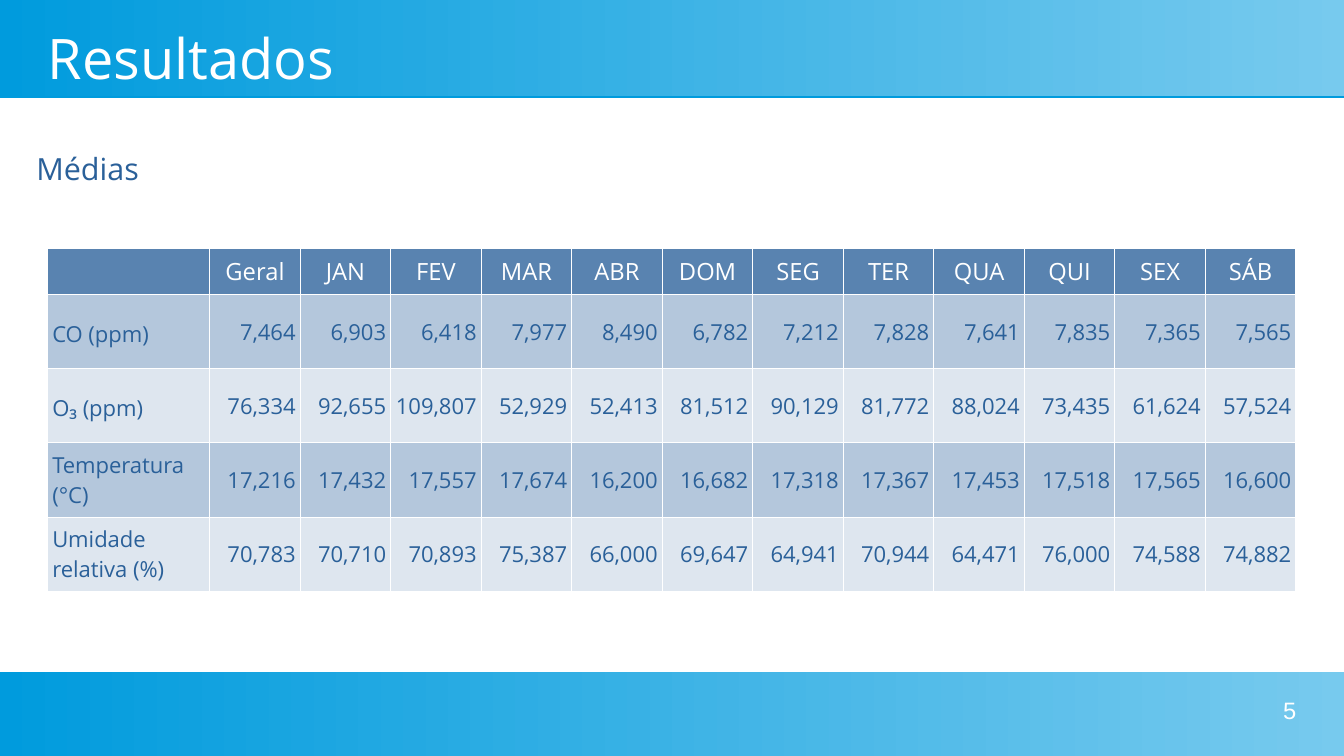
from lxml.etree import SubElement as Sub
from pptx import Presentation
from pptx.dml.color import RGBColor as Rgb
from pptx.enum.shapes import MSO_SHAPE as Shape
from pptx.enum.text import MSO_ANCHOR as Anchor, PP_ALIGN as Align
from pptx.oxml.ns import qn
from pptx.util import Pt

HEAD = ["", "Geral", "JAN", "FEV", "MAR", "ABR", "DOM", "SEG", "TER", "QUA", "QUI", "SEX", "SÁB"]
ROWS = [
    ["CO (ppm)", "7,464", "6,903", "6,418", "7,977", "8,490", "6,782",
     "7,212", "7,828", "7,641", "7,835", "7,365", "7,565"],
    ["O₃ (ppm)", "76,334", "92,655", "109,807", "52,929", "52,413", "81,512",
     "90,129", "81,772", "88,024", "73,435", "61,624", "57,524"],
    ["Temperatura (°C)", "17,216", "17,432", "17,557", "17,674", "16,200", "16,682",
     "17,318", "17,367", "17,453", "17,518", "17,565", "16,600"],
    ["Umidade relativa (%)", "70,783", "70,710", "70,893", "75,387", "66,000", "69,647",
     "64,941", "70,944", "64,471", "76,000", "74,588", "74,882"],
]
HUES = {"deep": "009BDD", "pale": "77CAEE", "white": "FFFFFF", "ink": "2A6099",
        "head": "5983B0", "odd": "B4C7DC", "even": "DEE6EF"}
WIDE, HIGH = 793.44, 446.4
LEFT, SPAN = 28.08, 737.28
BANDS = [(0, 56.88), (396.72, 49.68)]
NOTES = [
    ("Resultados", (LEFT, 10.8, SPAN, 45.36), (0, 0), True, Anchor.MIDDLE, Align.LEFT,
     {"size": Pt(33), "name": "Open Sans"}, "white"),
    ("Médias", (14.4, 84.96, 74.88, 31.68), (7.2, 3.6), False, Anchor.TOP, Align.LEFT,
     {"size": Pt(18), "name": "Open Sans"}, "ink"),
    ("5", (581.04, 411.12, 184.32, 28.08), (0, 0), True, Anchor.TOP, Align.RIGHT,
     {"size": Pt(14), "name": "Arial"}, "white"),
]
TOP, LABEL, CAP, ROW = 146.88, 95.76, 27, 43.8


def write(para, text, look, hue, align):
    para.alignment = align
    run = para.add_run()
    run.text = text
    for key, val in look.items():
        setattr(run.font, key, val)
    run.font.color.rgb = Rgb.from_string(HUES[hue])


def inset(part, side, edge):
    for key, val in {"left": side, "right": side, "top": edge, "bottom": edge}.items():
        setattr(part, "margin_" + key, Pt(val))


def band(slide, top, high):
    box = slide.shapes.add_shape(Shape.RECTANGLE, Pt(0), Pt(top), Pt(WIDE), Pt(high))
    box.line.fill.background()
    box.fill.gradient()
    box.fill.gradient_angle = 0
    for stop, hue in zip(box.fill.gradient_stops, ("deep", "pale")):
        stop.color.rgb = Rgb.from_string(HUES[hue])
    box.shadow.inherit = False
    glow = box._element.spPr.find(qn("a:effectLst"))
    cast = Sub(glow, qn("a:outerShdw"), dist=str(Pt(0.9)), dir="5400000", algn="tl", rotWithShape="0")
    Sub(cast, qn("a:srgbClr"), val=HUES["deep"])


def note(slide, text, place, gaps, wrap, anchor, align, look, hue):
    frame = slide.shapes.add_textbox(*map(Pt, place)).text_frame
    inset(frame, *gaps)
    frame.word_wrap = wrap
    frame.vertical_anchor = anchor
    write(frame.paragraphs[0], text, look, hue, align)


def border(cell):
    props = cell._tc.get_or_add_tcPr()
    for spot, side in enumerate(("lnL", "lnR", "lnT", "lnB")):
        line = Sub(props, qn("a:" + side), w=str(Pt(0.57)))
        Sub(Sub(line, qn("a:solidFill")), qn("a:srgbClr"), val=HUES["white"])
        props.insert(spot, line)


def paint(cell, text, row, col):
    head = row == 0
    inset(cell, 2.8, 3.6)
    cell.vertical_anchor = Anchor.TOP if head else Anchor.MIDDLE
    cell.fill.solid()
    hue = "head" if head else "odd" if row % 2 else "even"
    cell.fill.fore_color.rgb = Rgb.from_string(HUES[hue])
    border(cell)
    para = cell.text_frame.paragraphs[0]
    size = 14 if head else 13
    if not text:
        para._p.get_or_add_endParaRPr().set("sz", str(size * 100))
        return
    if col == 0 and row < 3:
        para.line_spacing = 1.15
    align = Align.CENTER if head else Align.RIGHT if col else Align.LEFT
    write(para, text, {"size": Pt(size), "name": "Open Sans"}, "white" if head else "ink", align)


def grid(slide):
    data = [HEAD] + ROWS
    high = CAP + ROW * len(ROWS)
    table = slide.shapes.add_table(len(data), len(HEAD), Pt(LEFT), Pt(TOP), Pt(SPAN), Pt(high)).table
    step = (SPAN - LABEL) / (len(HEAD) - 1)
    for col, part in enumerate(table.columns):
        part.width = Pt(step if col else LABEL)
    for row, line in enumerate(data):
        table.rows[row].height = Pt(ROW if row else CAP)
        for col, text in enumerate(line):
            paint(table.cell(row, col), text, row, col)


def main():
    """Build the slide of averages and save it."""
    deck = Presentation()
    deck.slide_width, deck.slide_height = Pt(WIDE), Pt(HIGH)
    slide = deck.slides.add_slide(deck.slide_layouts[6])
    for place in BANDS:
        band(slide, *place)
    for item in NOTES:
        note(slide, *item)
    grid(slide)
    deck.save("out.pptx")


if __name__ == "__main__":
    main()
